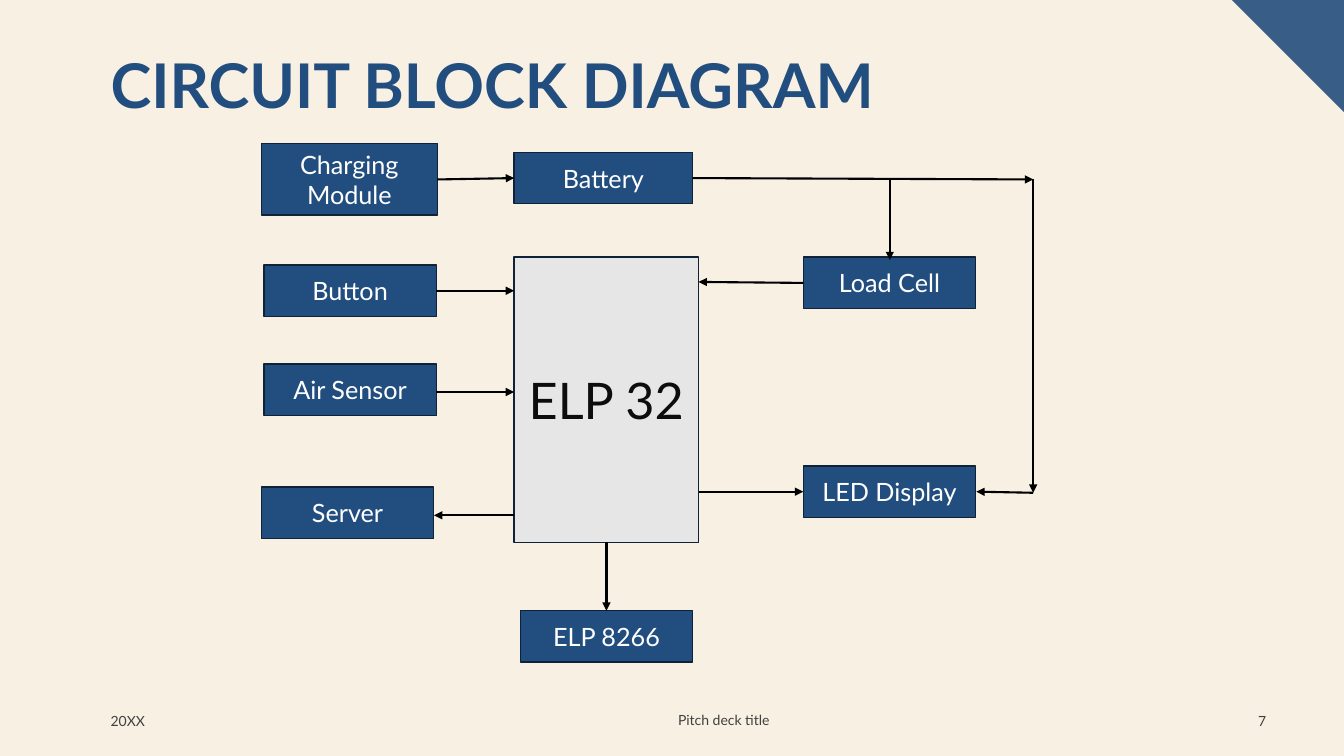
from lxml.etree import SubElement as Sub
from pptx import Presentation
from pptx.dml.color import RGBColor as Rgb
from pptx.enum.shapes import MSO_CONNECTOR as Link, MSO_SHAPE as Shape
from pptx.enum.text import MSO_ANCHOR as Anchor, PP_ALIGN as Align
from pptx.oxml.ns import qn
from pptx.util import Pt

INK = {
    "page": "F8F0E3", "corner": "385E88", "navy": "224E7F", "edge": "0F2238",
    "gray": "E7E6E6", "dark": "0D0D0D", "note": "404040",
    "white": "FFFFFF", "black": "000000",
}
WIDE, HIGH = 123.2, 36.8

NODES = [
    ("Load Cell", 573.8, 183.6, WIDE, HIGH),
    ("Battery", 367.2, 108.8, 127.6, HIGH),
    ("LED Display", 573.8, 332.8, WIDE, HIGH),
    ("ELP 8266", 371.7, 436.2, WIDE, HIGH),
    ("Server", 186.7, 347.9, WIDE, HIGH),
    ("Air Sensor", 188.5, 260, WIDE, HIGH),
    ("Button", 188.5, 189.3, WIDE, HIGH),
    ("Charging Module", 186.7, 102.4, 125.8, 51.2),
]
ARROWS = [
    (311.8, 207.7, 367.2, 207.7),
    (311.8, 280, 367.2, 280),
    (499, 351.2, 573.8, 351.2),
    (433.2, 387.4, 433.2, 436.2),
    (635.6, 128.2, 635.6, 185.8),
    (494.8, 127.2, 738, 128.2),
    (738, 128.2, 738, 352),
    (738, 352, 697.4, 351.2),
    (573.8, 202.1, 499, 201.4),
    (312.5, 128.2, 367.2, 127.2),
    (367.2, 368.1, 310, 368.1),
]
NOTES = [
    ("20XX", 72, 500.4, 86.4, Align.LEFT),
    ("Pitch deck title", 427, 499.7, 180, Align.CENTER),
    ("7", 875.5, 500.4, 36, Align.RIGHT),
]


def paint(fill, name):
    fill.solid()
    fill.fore_color.rgb = Rgb.from_string(INK[name])


def write(shape, text, size, color, align, anchor=Anchor.MIDDLE, bold=False, gap=1.0):
    frame = shape.text_frame
    para = frame.paragraphs[0]
    run = para.add_run()
    run.text = text
    looks = [
        (frame, {"word_wrap": True, "vertical_anchor": anchor}),
        (para, {"alignment": align, "line_spacing": gap}),
        (run.font, {"name": "Lato", "size": Pt(size), "bold": bold}),
    ]
    for part, look in looks:
        for key, value in look.items():
            setattr(part, key, value)
    run.font.color.rgb = Rgb.from_string(INK[color])


def label(slide, box, text, *look, **more):
    write(slide.shapes.add_textbox(*map(Pt, box)), text, *look, **more)


def block(slide, text, box, fill="navy", size=18, color="white"):
    shape = slide.shapes.add_shape(Shape.RECTANGLE, *map(Pt, box))
    shape.shadow.inherit = False
    paint(shape.fill, fill)
    paint(shape.line.fill, "edge")
    shape.line.width = Pt(1)
    write(shape, text, size, color, Align.CENTER)


def arrow(slide, ends):
    line = slide.shapes.add_connector(Link.STRAIGHT, *map(Pt, ends))
    paint(line.line.fill, "black")
    line.line.width = Pt(1.5)
    Sub(line.line._get_or_add_ln(), qn("a:tailEnd"), type="triangle")
    Sub(line._element.spPr, qn("a:effectLst"))


def corner(slide):
    pen = slide.shapes.build_freeform(Pt(960), Pt(80))
    pen.add_line_segments([(Pt(880), 0), (Pt(960), 0)], close=True)
    shape = pen.convert_to_shape()
    shape.shadow.inherit = False
    paint(shape.fill, "corner")
    shape.line.fill.background()


def main():
    deck = Presentation()
    deck.slide_width, deck.slide_height = Pt(960), Pt(540)
    slide = deck.slides.add_slide(deck.slide_layouts[6])
    paint(slide.background.fill, "page")
    corner(slide)
    label(slide, (72, 36, 828, 104.4), "CIRCUIT BLOCK DIAGRAM", 44, "navy",
          Align.LEFT, Anchor.TOP, bold=True, gap=0.9)
    for text, left, top, width, align in NOTES:
        label(slide, (left, top, width, 28.8), text, 10, "note", align)
    block(slide, "ELP 32", (367.2, 183.6, 131.8, 203.8), "gray", 36, "dark")
    for text, *box in NODES:
        block(slide, text, box)
    for ends in ARROWS:
        arrow(slide, ends)
    deck.save("out.pptx")


if __name__ == "__main__":
    main()
